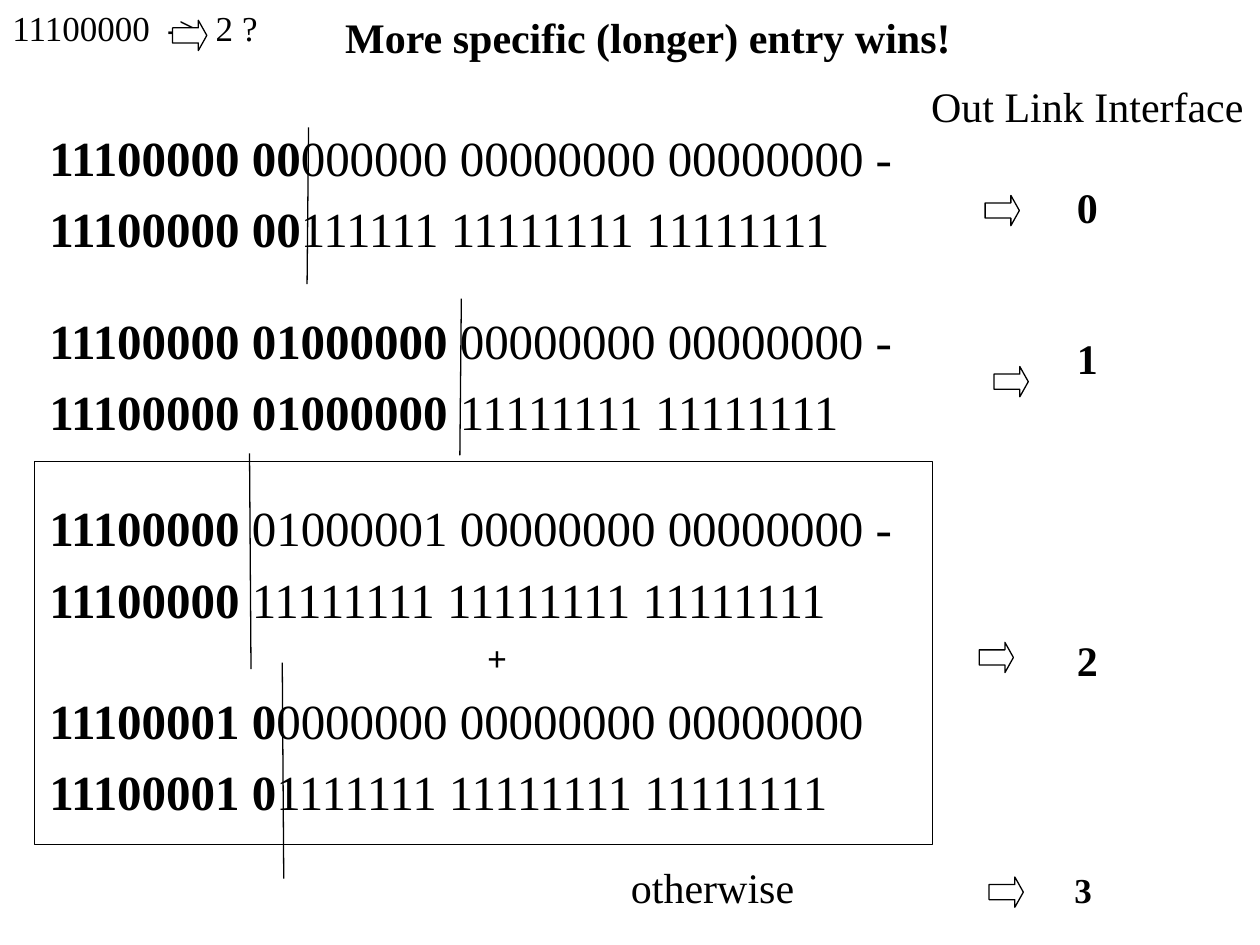
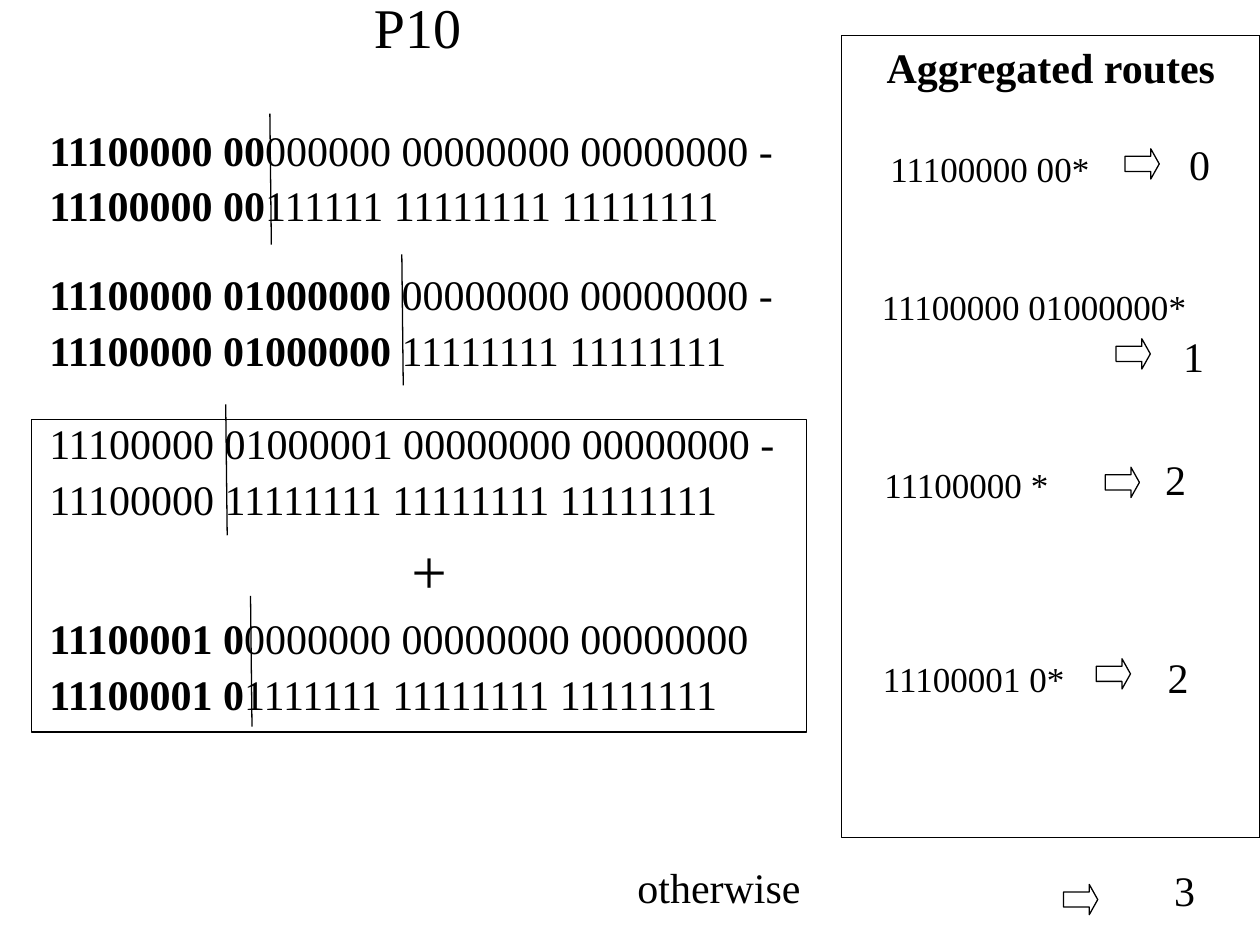
from lxml import etree
from pptx import Presentation
from pptx.dml.color import RGBColor
from pptx.enum.shapes import MSO_CONNECTOR, MSO_SHAPE
from pptx.enum.text import MSO_ANCHOR, MSO_AUTO_SIZE, PP_ALIGN
from pptx.oxml.ns import qn
from pptx.util import Cm, Pt

BLACK = RGBColor(0, 0, 0)
WHITE = RGBColor(255, 255, 255)
FONT = "Times New Roman"
LINE_FACTOR = 1.2
STRAIGHT = MSO_CONNECTOR.STRAIGHT
RECTANGLE = MSO_SHAPE.RECTANGLE
RIGHT_ARROW = MSO_SHAPE.RIGHT_ARROW
LEFT, CENTER = PP_ALIGN.LEFT, PP_ALIGN.CENTER
TOP, MIDDLE = MSO_ANCHOR.TOP, MSO_ANCHOR.MIDDLE
NO_AUTOFIT = MSO_AUTO_SIZE.NONE
TITLE_AND_CONTENT = 1

ADDRESS_RANGES = [
    [("11100000 00", "000000 00000000 00000000 -"),
     ("11100000 00", "111111 11111111 11111111")],
    [("11100000 01000000", " 00000000 00000000 -"),
     ("11100000 01000000", " 11111111 11111111")],
    [("11100000 ", "01000001 00000000 00000000 -"),
     ("11100000 ", "11111111 11111111 11111111")],
    [("11100001 0", "0000000 00000000 00000000"),
     ("11100001 0", "1111111 11111111 11111111")],
]


def apply(target, values):
    for name, value in values.items():
        setattr(target, name, value)


class RoutingDeck:
    def __init__(self):
        self.presentation = Presentation()
        apply(self.presentation, {"slide_width": Cm(25.4), "slide_height": Cm(19.05)})
        self.slide = None

    def new_slide(self):
        layout = self.presentation.slide_layouts[TITLE_AND_CONTENT]
        self.slide = self.presentation.slides.add_slide(layout)

    def place(self, shape, box):
        for name, value in zip(("left", "top", "width", "height"), box):
            setattr(shape, name, Cm(value))

    def prepare(self, shape, anchor=TOP, wrap=True):
        frame = shape.text_frame
        apply(frame, {"auto_size": NO_AUTOFIT, "word_wrap": wrap, "vertical_anchor": anchor})
        return frame

    def paragraph(self, frame, runs, align=LEFT, before=0, spacing=None, tabs=()):
        first = frame.paragraphs[0]
        paragraph = frame.add_paragraph() if first.runs else first
        apply(paragraph, {"alignment": align, "space_before": Pt(before),
                          "line_spacing": spacing})
        if tabs:
            tab_list = etree.SubElement(paragraph._p.get_or_add_pPr(), qn("a:tabLst"))
            for position in tabs:
                etree.SubElement(tab_list, qn("a:tab"), pos=str(Cm(position)), algn="l")
        for text, size, bold in runs:
            run = paragraph.add_run()
            run.text = text
            apply(run.font, {"name": FONT, "size": Pt(size), "bold": bold})
            run.font.color.rgb = BLACK
        return paragraph

    def title(self, text, box, anchor=TOP, framed=False):
        shape = self.slide.shapes.title
        self.place(shape, box)
        if framed:
            self.outline(shape)
        self.paragraph(self.prepare(shape, anchor), [(text, 24, True)], CENTER)

    def body(self, box):
        shape = self.slide.placeholders[1]
        self.place(shape, box)
        return self.prepare(shape)

    def list_item(self, frame, runs, margin=0.95, hanging=0.95, **layout):
        paragraph = self.paragraph(frame, runs, **layout)
        properties = paragraph._p.get_or_add_pPr()
        properties.set("marL", str(Cm(margin)))
        properties.set("indent", str(-Cm(hanging)))
        etree.SubElement(properties, qn("a:buNone"))

    def address_list(self, frame, size, before, gaps, plus, plain_ranges=(), spacing=None):
        for index, address_range in enumerate(ADDRESS_RANGES):
            if index == 3:
                self.list_item(frame, spacing=spacing, **plus)
            for line, (prefix, rest) in enumerate(address_range):
                gap = 0
                if line == 0 and index in gaps:
                    blank_size, blank_before = gaps[index]
                    gap = blank_size * LINE_FACTOR * (spacing or 1) + blank_before
                runs = [(prefix, size, index not in plain_ranges), (rest, size, False)]
                is_first = index == line == 0
                self.list_item(frame, runs, spacing=spacing,
                               before=0 if is_first else round(before + gap, 1))

    def text_box(self, box, wrap=True):
        shape = self.slide.shapes.add_textbox(*map(Cm, box))
        return self.prepare(shape, wrap=wrap)

    def label(self, text, left, top, width, size=24):
        frame = self.text_box((left, top, width, 1.27))
        self.paragraph(frame, [(text, size, False)])

    def outline(self, shape):
        shape.line.color.rgb = BLACK
        shape.line.width = Pt(0.75)

    def frame(self, box):
        shape = self.slide.shapes.add_shape(RECTANGLE, *map(Cm, box))
        shape.shadow.inherit = False
        shape.fill.background()
        self.outline(shape)

    def arrow(self, left, top):
        shape = self.slide.shapes.add_shape(RIGHT_ARROW, *map(Cm, (left, top, 0.69, 0.61)))
        shape.shadow.inherit = False
        shape.adjustments[0] = 0.5
        shape.adjustments[1] = 0.28
        shape.fill.solid()
        shape.fill.fore_color.rgb = WHITE
        self.outline(shape)

    def prefix_divider(self, left, top, lean, height):
        ends = map(Cm, (left, top, left + lean, top + height))
        connector = self.slide.shapes.add_connector(STRAIGHT, *ends)
        self.outline(connector)
        etree.SubElement(connector._element.spPr, qn("a:effectLst"))


def build_longest_prefix(deck):
    deck.new_slide()
    deck.title("More specific (longer) entry wins!", (6.22, 0, 13.69, 1.47), MIDDLE)
    deck.address_list(
        deck.body((0.74, 2.44, 18.39, 16.13)), size=28, before=7,
        gaps={1: (16, 4), 2: (18, 4.5)},
        plus={"runs": [(" +", 20, True)], "align": CENTER, "before": 5})

    interfaces = deck.text_box((19.15, 1.5, 5.54, 16.69), wrap=False)
    deck.paragraph(interfaces, [("Out Link Interface", 24, False)], CENTER)
    for number, skipped_lines in (("0", 1), ("1", 2), ("2", 5)):
        deck.paragraph(interfaces, [(number, 24, True)], CENTER,
                       before=skipped_lines * 24 * LINE_FACTOR)

    query = deck.text_box((0, 0, 6.1, 1.12))
    deck.paragraph(query, [("11100000\t->\t2 ?", 20, False)], tabs=(3.12, 4.1))
    deck.frame((0.69, 9.3, 18.11, 7.72))
    default_route = deck.text_box((12.47, 17.25, 10.64, 1.27))
    deck.paragraph(default_route, [("otherwise\t", 24, False), ("3", 20, True)], tabs=(8.94,))

    for left, top in ((3.48, 0.41), (19.86, 3.94), (20.04, 7.39),
                      (19.74, 12.95), (19.94, 17.68)):
        deck.arrow(left, top)
    for left, top, lean, height in ((6.22, 2.57, -0.03, 3.16), (9.3, 6.02, -0.03, 3.16),
                                    (5.03, 9.14, 0.03, 4.35), (5.69, 13.36, 0.03, 4.35)):
        deck.prefix_divider(left, top, lean, height)


def build_aggregated_routes(deck):
    deck.new_slide()
    deck.title("Aggregated routes", (16.97, 0.71, 8.43, 16.18), framed=True)
    deck.address_list(
        deck.body((0.74, 2.49, 16.84, 16.08)), size=24, before=6,
        gaps={1: (14, 3.5), 2: (16, 4)}, plain_ranges=(2,), spacing=0.9,
        plus={"runs": [("+", 36, False)], "margin": 7.3, "hanging": 0, "before": 9})

    deck.frame((0.64, 8.46, 15.62, 6.3))
    for left, top in ((5.44, 2.29), (8.1, 5.13), (4.55, 8.15), (5.05, 12.01)):
        deck.prefix_divider(left, top, 0.03, 2.64)

    routes = [
        ("11100000 00*", (17.7, 2.84), (22.68, 3), "0", (23.72, 2.67)),
        ("11100000 01000000*", (17.53, 5.64), (22.5, 6.83), "1", (23.6, 6.53)),
        ("11100000 *", (17.58, 9.22), (22.28, 9.42), "2", (23.24, 9.02)),
        ("11100001 0*", (17.55, 13.13), (22.1, 13.28), "2", (23.29, 13)),
    ]
    for prefix, prefix_at, arrow_at, interface, interface_at in routes:
        deck.label(prefix, *prefix_at, width=7.2, size=20)
        deck.arrow(*arrow_at)
        deck.label(interface, *interface_at, width=1.17)

    deck.label("otherwise", 12.6, 17.25, width=4.45)
    deck.arrow(21.44, 17.83)
    deck.label("3", 23.42, 17.3, width=1.17)
    deck.label("P10", 7.29, -0.28, width=2.6, size=32)


def main():
    deck = RoutingDeck()
    build_longest_prefix(deck)
    build_aggregated_routes(deck)
    deck.presentation.save("out.pptx")


if __name__ == "__main__":
    main()
